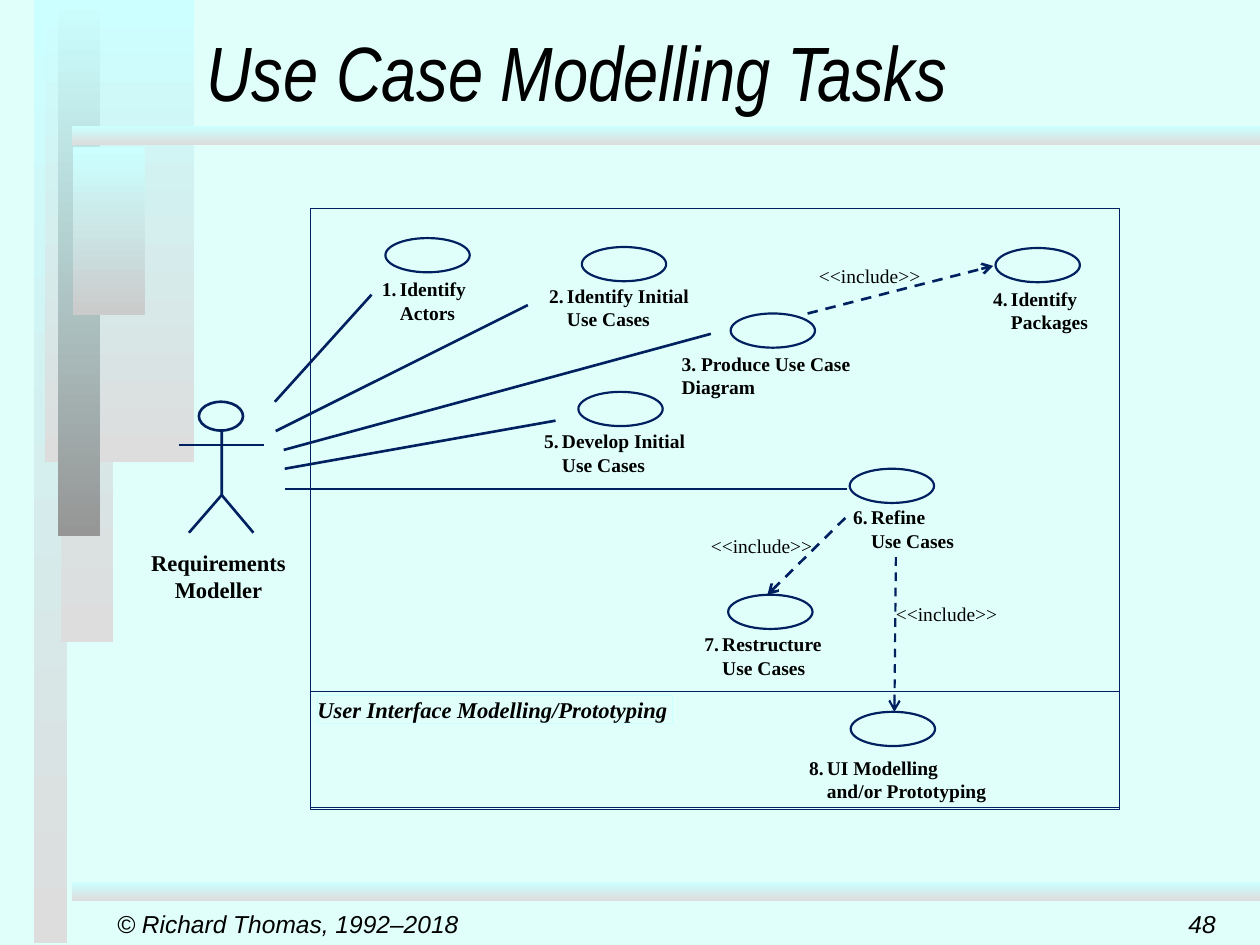
"""Build the use case modelling tasks slide."""
from copy import deepcopy
from dataclasses import dataclass

from pptx import Presentation
from pptx.dml.color import RGBColor
from pptx.enum.dml import MSO_LINE
from pptx.enum.shapes import MSO_CONNECTOR, MSO_SHAPE
from pptx.enum.text import MSO_ANCHOR, MSO_AUTO_SIZE, PP_ALIGN
from pptx.oxml.ns import qn
from pptx.util import Cm, Pt

RECT, OVAL = MSO_SHAPE.RECTANGLE, MSO_SHAPE.OVAL
STRAIGHT = MSO_CONNECTOR.STRAIGHT
DASH = MSO_LINE.DASH
MIDDLE, TOP = MSO_ANCHOR.MIDDLE, MSO_ANCHOR.TOP
FIT, FIXED = MSO_AUTO_SIZE.SHAPE_TO_FIT_TEXT, MSO_AUTO_SIZE.NONE
LEFT, CENTER, RIGHT = PP_ALIGN.LEFT, PP_ALIGN.CENTER, PP_ALIGN.RIGHT


@dataclass(frozen=True)
class Theme:
    back: str = "E1FFFA"
    ink: str = "000000"
    navy: str = "002060"
    aqua: str = "CCFFFF"
    pale: str = "DDDDDD"
    mid: str = "CBCBCB"
    dark: str = "969696"
    head: str = "Arial Narrow"
    sans: str = "Arial"
    serif: str = "Times New Roman"
    title: float = 44
    foot: float = 14
    role: float = 12.9
    label: float = 11.1


THEME = Theme()


def rgb(code):
    return RGBColor.from_string(code)


def cms(*nums):
    return [Cm(n) for n in nums]


def write(frame, text, font=THEME.serif, size=THEME.label, bold=False, italic=False,
          aligns=(LEFT,), anchor=TOP, pad=(0, 0), wrap=True, fit=FIT, hang=0):
    frame.word_wrap, frame.auto_size, frame.vertical_anchor = wrap, fit, anchor
    frame.margin_left = frame.margin_right = Cm(pad[0])
    frame.margin_top = frame.margin_bottom = Cm(pad[1])
    frame.text = text
    for para, align in zip(frame.paragraphs, aligns):
        para.alignment = align
        if hang:
            props = para._p.get_or_add_pPr()
            props.set("marL", str(Cm(hang)))
            props.set("indent", str(-Cm(hang)))
        for run in para.runs:
            face = run.font
            face.name, face.size = font, Pt(size)
            face.bold, face.italic = bold, italic
            face.color.rgb = rgb(THEME.ink)
        for gap in para._p.findall(qn("a:br")):
            gap.append(deepcopy(para.runs[0]._r.rPr))


class Deck:
    def __init__(self, theme):
        self.theme = theme
        self.show = Presentation()
        self.show.slide_width, self.show.slide_height = cms(25.4, 19.05)
        self.slide = self.show.slides.add_slide(self.show.slide_layouts[5])
        self.slide.background.fill.solid()
        self.slide.background.fill.fore_color.rgb = rgb(theme.back)

    def stroke(self, line, width, color=None):
        line.color.rgb = rgb(color or self.theme.navy)
        line.width = Pt(width)

    def panel(self, box, end):
        shape = self.slide.shapes.add_shape(RECT, *cms(*box))
        shape.shadow.inherit = False
        shape.line.fill.background()
        shape.fill.gradient()
        shape.fill.gradient_angle = 270
        for stop, color, place in zip(shape.fill.gradient_stops, (self.theme.aqua, end), (0, 1)):
            stop.color.rgb, stop.position = rgb(color), place

    def outline(self, kind, box, width):
        shape = self.slide.shapes.add_shape(kind, *cms(*box))
        shape.shadow.inherit = False
        shape.fill.background()
        self.stroke(shape.line, width)

    def sketch(self, paths, width):
        pen = self.slide.shapes.build_freeform(*cms(*paths[0][0]))
        for index, (start, *rest) in enumerate(paths):
            if index:
                pen.move_to(*cms(*start))
            pen.add_line_segments([cms(*point) for point in rest], close=False)
        shape = pen.convert_to_shape()
        shape.shadow.inherit = False
        shape.fill.background()
        self.stroke(shape.line, width)

    def title(self, box, text, **style):
        shape = self.slide.shapes.title
        shape.left, shape.top, shape.width, shape.height = cms(*box)
        write(shape.text_frame, text, **style)

    def text(self, box, text, edge=None, **style):
        shape = self.slide.shapes.add_textbox(*cms(*box))
        if edge:
            self.stroke(shape.line, 0.75, edge)
        write(shape.text_frame, text, **style)

    def link(self, ends, width=1.5, arrow=False):
        wire = self.slide.shapes.add_connector(STRAIGHT, *cms(*ends))
        self.stroke(wire.line, width)
        if arrow:
            wire.line.dash_style = DASH
            tail = wire.line._get_or_add_ln().makeelement(qn("a:tailEnd"), {"type": "arrow"})
            wire.line._get_or_add_ln().append(tail)
        props = wire._element.spPr
        props.append(props.makeelement(qn("a:effectLst"), {}))

    def case(self, oval, label, text, hang=0.36):
        self.outline(OVAL, (*oval, 1.7, 0.69), 1.25)
        self.text((*label, 0.94), text, bold=True, hang=hang)


PANELS = [
    ((0.69, 0, 0.66, 19.02), THEME.pale),
    ((1.24, 0, 1.04, 12.95), THEME.pale),
    ((0.91, 0, 3, 9.32), THEME.pale),
    ((1.17, 0, 0.84, 10.8), THEME.dark),
    ((1.47, 2.97, 1.45, 3.38), THEME.mid),
    ((1.45, 2.54, 23.95, 0.38), THEME.pale),
    ((1.45, 17.78, 23.95, 0.38), THEME.pale),
]
BODY = [
    [(3.61, 8.97), (5.33, 8.97)],
    [(4.47, 9.98), (5.11, 10.74)],
    [(4.47, 8.69), (4.47, 9.98), (3.81, 10.74)],
]
CASES = [
    ((7.77, 4.8), (7.7, 5.59, 2.31), "1.\tIdentify Actors"),
    ((11.73, 4.98), (11.07, 5.72, 3.12), "2.\tIdentify Initial Use Cases"),
    ((14.73, 6.32), (13.74, 7.09, 4.9), "3. Produce Use Case Diagram", 0),
    ((20.07, 5), (20.02, 5.79, 2.29), "4.\tIdentify Packages"),
    ((11.66, 7.9), (10.97, 8.66, 3.23), "5.\tDevelop Initial Use Cases"),
    ((17.13, 9.45), (17.2, 10.19, 2.11), "6.\tRefine Use Cases"),
    ((14.68, 11.99), (14.2, 12.75, 2.79), "7.\tRestructure Use Cases"),
    ((17.15, 14.35), (16.31, 15.24, 3.78), "8.\tUI Modelling\vand/or Prototyping"),
]
LINKS = [
    (5.54, 8.1, 7.49, 5.94),
    (5.56, 8.69, 10.64, 6.15),
    (5.72, 9.07, 14.33, 6.73),
    (5.74, 9.45, 11.2, 8.48),
    (5.74, 9.86, 17.07, 9.86),
]
ARROWS = [
    ((16.28, 6.32, 20.02, 5.36), 1.5, (16.51, 5.33)),
    ((18.06, 11.23, 18.03, 14.35), 1.25, (18.06, 12.14)),
    ((17.04, 10.44, 15.47, 11.99), 1.5, (14.33, 10.77)),
]


def main():
    deck = Deck(THEME)
    for box, end in PANELS:
        deck.panel(box, end)
    inset = dict(anchor=MIDDLE, pad=(0.25, 0.13), fit=FIXED, italic=True)
    deck.title((3.91, 0, 19.81, 2.84), "Use Case Modelling Tasks",
               font=THEME.head, size=THEME.title, **inset)
    deck.outline(OVAL, (4.01, 8.1, 0.89, 0.58), 1.5)
    deck.sketch(BODY, 1.5)
    role = dict(size=THEME.role, bold=True, wrap=False)
    deck.text((3.05, 11.07, 2.87, 1.09), "Requirements\nModeller", aligns=(LEFT, CENTER), **role)
    for top, height in ((4.19, 12.12), (13.94, 2.34)):
        deck.outline(RECT, (6.25, top, 16.31, height), 0.25)
    deck.text((6.4, 14.02, 7.16, 0.56), "User Interface Modelling/Prototyping",
              edge=THEME.aqua, italic=True, **role)
    for case in CASES:
        deck.case(*case)
    for ends in LINKS:
        deck.link(ends)
    for ends, width, place in ARROWS:
        deck.link(ends, width, arrow=True)
        deck.text((*place, 2.06, 0.48), "<<include>>", wrap=False)
    for left, text, align in ((19.48, "48", RIGHT), (2.11, "© Richard Thomas, 1992–2018", LEFT)):
        deck.text((left, 18.21, 5.28, 0.84), text, font=THEME.sans, size=THEME.foot,
                  aligns=(align,), wrap=False, **inset)
    deck.show.save("out.pptx")


if __name__ == "__main__":
    main()
